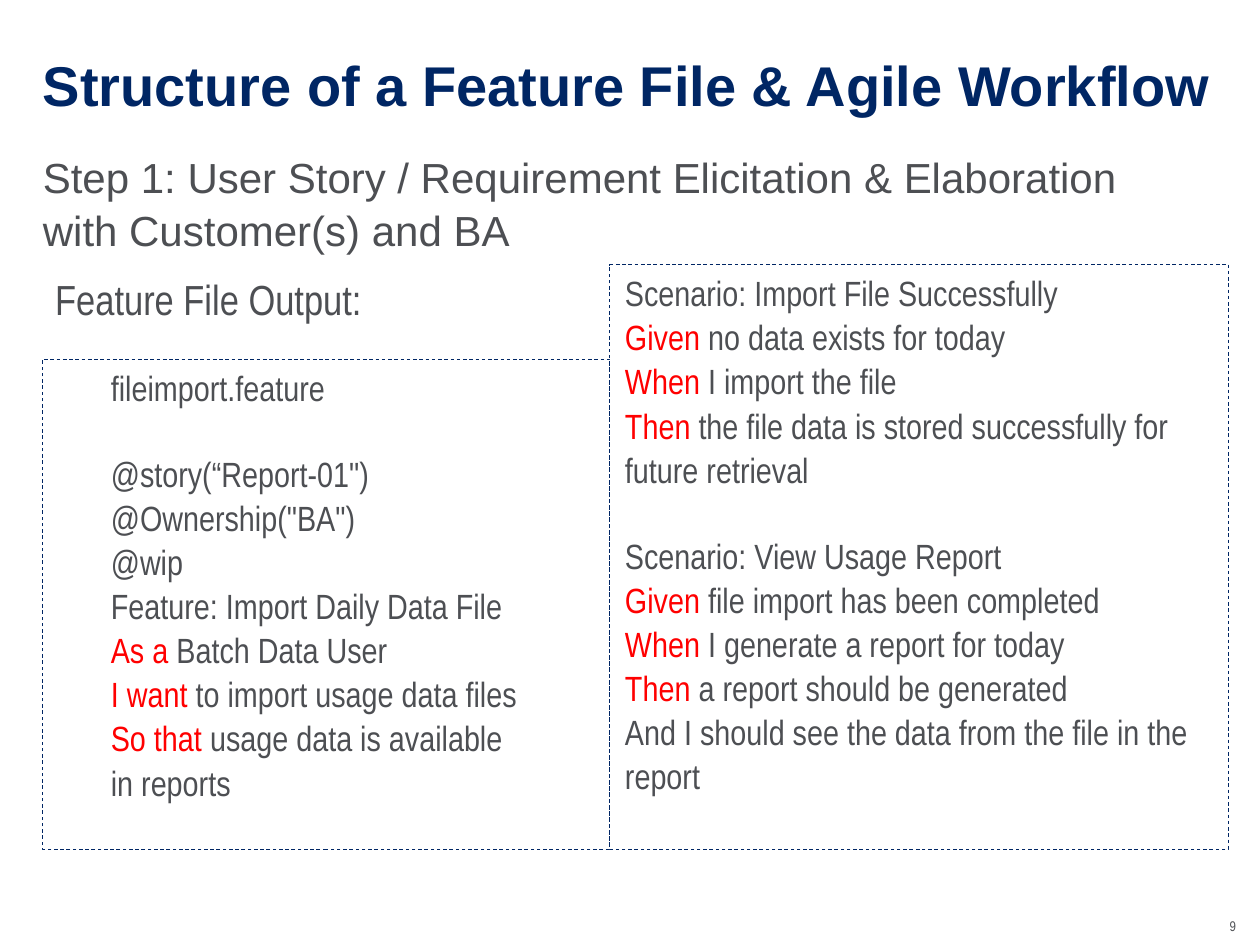
from pptx import Presentation
from pptx.dml.color import RGBColor
from pptx.enum.dml import MSO_LINE
from pptx.enum.shapes import MSO_SHAPE
from pptx.enum.text import MSO_ANCHOR, PP_ALIGN
from pptx.util import Inches, Pt

RECTANGLE = MSO_SHAPE.RECTANGLE
DASH = MSO_LINE.DASH
TOP, MIDDLE = MSO_ANCHOR.TOP, MSO_ANCHOR.MIDDLE
LEFT, RIGHT = PP_ALIGN.LEFT, PP_ALIGN.RIGHT

WIDTH, HEIGHT = 10, 7.5
MARGIN = 0.34
SPLIT = 4.84
PANEL_TOP, PANEL_BOTTOM = 2.1, 6.74
NAVY, GREY, RED = "002664", "4D4F53", "FF0000"
SANS, NARROW = "Arial", "Arial Narrow"
CODE_SIZE = 20
BLANK_LINE = 24
LINE_SPACING = 1.05

FEATURE_BLOCKS = [
    [("", "fileimport.feature")],
    [
        ("", "@story(“Report-01\")"),
        ("", "@Ownership(\"BA\")"),
        ("", "@wip"),
        ("", "Feature: Import Daily Data File"),
        ("As a", " Batch Data User"),
        ("I want ", "to import usage data files"),
        ("So that ", "usage data is available"),
        ("", "in reports"),
    ],
]
SCENARIO_BLOCKS = [
    [
        ("", "Scenario: Import File Successfully"),
        ("Given", " no data exists for today"),
        ("When", " I import the file"),
        ("Then", " the file data is stored successfully for"),
        ("", "future retrieval"),
    ],
    [
        ("", "Scenario: View Usage Report"),
        ("Given", " file import has been completed"),
        ("When", " I generate a report for today"),
        ("Then ", "a report should be generated"),
        ("", "And I should see the data from the file in the"),
        ("", "report"),
    ],
]


def color(hex_value):
    """Turn a hex string into a colour."""
    return RGBColor.from_string(hex_value)


def style_font(font, name, size, hex_value, bold=False):
    """Set face, size, colour and weight of a font."""
    font.name, font.size, font.bold = name, Pt(size), bold
    font.color.rgb = color(hex_value)


def prepare_frame(frame, inset_x, inset_y, anchor=TOP):
    """Wrap a text frame and set its insets and anchor."""
    frame.word_wrap = True
    frame.margin_left = frame.margin_right = Inches(inset_x)
    frame.margin_top = frame.margin_bottom = Inches(inset_y)
    frame.vertical_anchor = anchor


def add_label(slide, box, text, name, size, hex_value, bold=False, insets=(0, 0),
              anchor=TOP, align=LEFT, spacing=1.0):
    """Place one paragraph of text in the given box."""
    frame = slide.shapes.add_textbox(*map(Inches, box)).text_frame
    prepare_frame(frame, *insets, anchor)
    frame.text = text
    paragraph = frame.paragraphs[0]
    paragraph.alignment = align
    paragraph.line_spacing = spacing
    style_font(paragraph.runs[0].font, name, size, hex_value, bold)


def add_code_panel(slide, box, blocks, indent):
    """Place a dashed panel of Gherkin lines with red keywords."""
    panel = slide.shapes.add_shape(RECTANGLE, *map(Inches, box))
    panel.shadow.inherit = False
    panel.fill.background()
    panel.line.color.rgb = color(NAVY)
    panel.line.width = Pt(0.5)
    panel.line.dash_style = DASH
    frame = panel.text_frame
    prepare_frame(frame, 0.04, 0.04)
    frame.margin_left = Inches(0.04 + indent)
    lines = [(block_no > 0 and line_no == 0, line)
             for block_no, block in enumerate(blocks)
             for line_no, line in enumerate(block)]
    for number, (opens_block, (keyword, rest)) in enumerate(lines):
        paragraph = frame.add_paragraph() if number else frame.paragraphs[0]
        paragraph.alignment = LEFT
        paragraph.line_spacing = LINE_SPACING
        if opens_block:
            paragraph.space_before = Pt(BLANK_LINE)
        for text, hex_value in ((keyword, RED), (rest, GREY)):
            if text:
                run = paragraph.add_run()
                run.text = text
                style_font(run.font, NARROW, CODE_SIZE, hex_value)


def add_heading(slide, left, top, width):
    """Place the title and the step description below it."""
    add_label(slide, (left, top, width, 0.59),
              "Structure of a Feature File & Agile Workflow",
              SANS, 32, NAVY, bold=True, anchor=MIDDLE)
    add_label(slide, (left, top + 0.81, width - 0.4, 0.91),
              "Step 1: User Story / Requirement Elicitation & Elaboration "
              "with Customer(s) and BA",
              SANS, 24, GREY, spacing=LINE_SPACING)


def add_feature_file(slide, left, top, right, bottom):
    """Place the output caption and both code panels."""
    column = SPLIT - left
    caption_row = 0.75
    add_label(slide, (left, top, column, 0.5), "Feature File Output:",
              NARROW, 24, GREY, insets=(0.1, 0.05), spacing=LINE_SPACING)
    add_code_panel(slide, (SPLIT, top, right - SPLIT, bottom - top),
                   SCENARIO_BLOCKS, 0.08)
    add_code_panel(slide, (left, top + caption_row, column, bottom - top - caption_row),
                   FEATURE_BLOCKS, 0.5)


def main():
    """Build and save the slide."""
    deck = Presentation()
    deck.slide_width, deck.slide_height = Inches(WIDTH), Inches(HEIGHT)
    slide = deck.slides.add_slide(deck.slide_layouts[6])
    add_heading(slide, MARGIN, 0.37, WIDTH - 2 * MARGIN)
    add_feature_file(slide, MARGIN, PANEL_TOP, WIDTH - 0.25, PANEL_BOTTOM)
    add_label(slide, (7.48, 7.28, 2.33, 0.13), "9", NARROW, 8, GREY, align=RIGHT)
    deck.save("out.pptx")


if __name__ == "__main__":
    main()
